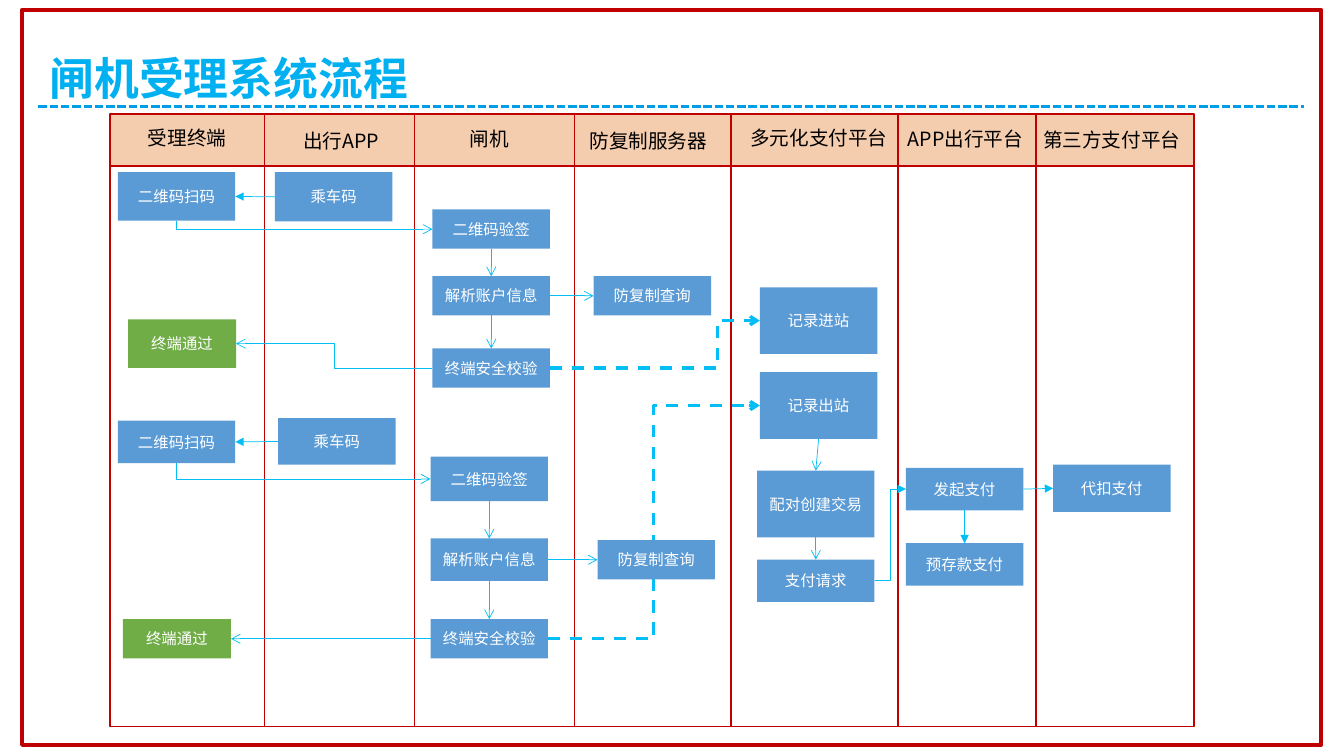
from lxml import etree
from pptx import Presentation
from pptx.dml.color import RGBColor
from pptx.enum.dml import MSO_LINE
from pptx.enum.shapes import MSO_CONNECTOR, MSO_SHAPE
from pptx.enum.text import MSO_ANCHOR, PP_ALIGN
from pptx.oxml.ns import qn
from pptx.util import Cm, Pt

RECTANGLE = MSO_SHAPE.RECTANGLE
STRAIGHT, ELBOW = MSO_CONNECTOR.STRAIGHT, MSO_CONNECTOR.ELBOW
DASH, SHORT_DASH = MSO_LINE.DASH, MSO_LINE.SQUARE_DOT
MIDDLE, BOTTOM = MSO_ANCHOR.MIDDLE, MSO_ANCHOR.BOTTOM
LEFT, CENTER = PP_ALIGN.LEFT, PP_ALIGN.CENTER
TOP_SITE, LEFT_SITE, BOTTOM_SITE, RIGHT_SITE = range(4)

CJK_FONT = "Noto Sans CJK SC"
RED, BLUE, GREEN, ARROW_BLUE = "C00000", "5B9BD5", "70AD47", "03BEF4"
HEADER_HEIGHT = 1.31
STEP_WIDTH = 2.96
PASS_WIDTH = 2.72

LANES = [
    ("受理终端", 0, 1.95, 0.6),
    ("出行APP", 3.9, 5.83, 0.67),
    ("闸机", 7.67, 9.56, 0.62),
    ("防复制服务器", 11.71, 13.57, 0.67),
    ("多元化支付平台", 15.65, 17.87, 0.6),
    ("APP出行平台", 19.86, 21.56, 0.62),
    ("第三方支付平台", 23.34, 25.25, 0.65),
]

STEPS = {
    "entry scan": ("二维码扫码", 0.2, 1.47, 1.22),
    "entry code": ("乘车码", 4.16, 1.47, 1.24),
    "entry verify": ("二维码验签", 8.13, 2.41, 0.99),
    "entry parse": ("解析账户信息", 8.13, 4.09, 0.99),
    "entry check": ("终端安全校验", 8.13, 5.91, 0.99),
    "entry pass": ("终端通过", 0.46, 5.18, 1.22),
    "entry record": ("记录进站", 16.38, 4.37, 1.68),
    "exit scan": ("二维码扫码", 0.2, 7.73, 1.07),
    "exit code": ("乘车码", 4.24, 7.67, 1.17),
    "exit verify": ("二维码验签", 8.08, 8.64, 1.12),
    "exit parse": ("解析账户信息", 8.08, 10.7, 1.07),
    "exit check": ("终端安全校验", 8.08, 12.73, 0.99),
    "exit pass": ("终端通过", 0.33, 12.73, 0.99),
    "exit record": ("记录出站", 16.38, 6.51, 1.68),
    "pair": ("配对创建交易", 16.31, 8.99, 1.68),
    "request": ("支付请求", 16.31, 11.23, 1.07),
    "start": ("发起支付", 20.06, 8.92, 1.07),
    "prepaid": ("预存款支付", 20.06, 10.82, 1.07),
    "withhold": ("代扣支付", 23.77, 8.84, 1.19),
}

QUERIES = {
    "entry query": ("防复制查询", 12.19, 4.09, 0.99),
    "exit query": ("防复制查询", 12.29, 10.74, 0.99),
}


def color(value):
    return RGBColor.from_string(value)


def apply_format(target, values):
    for name, value in values.items():
        setattr(target, name, value)


def add_text(shape, text, size, font_color, anchor=MIDDLE, alignment=CENTER,
             font_name=CJK_FONT, bold=False, spacing=1.0):
    frame = shape.text_frame
    apply_format(frame, {"word_wrap": True, "vertical_anchor": anchor})
    paragraph = frame.paragraphs[0]
    apply_format(paragraph, {"alignment": alignment, "line_spacing": spacing})
    run = paragraph.add_run()
    run.text = text
    apply_format(run.font, {"name": font_name, "size": Pt(size), "bold": bold})
    run.font.color.rgb = color(font_color)
    east_asian = etree.SubElement(run.font._element, qn("a:ea"))
    east_asian.set("typeface", CJK_FONT)


def add_label(slide, box, text, size, font_color, insets, **options):
    label = slide.shapes.add_textbox(*map(Cm, box))
    horizontal, vertical = map(Cm, insets)
    apply_format(label.text_frame, {
        "margin_left": horizontal, "margin_right": horizontal,
        "margin_top": vertical, "margin_bottom": vertical,
    })
    add_text(label, text, size, font_color, **options)


def add_rectangle(slide, box, fill=None, outline=None, width=1):
    shape = slide.shapes.add_shape(RECTANGLE, *map(Cm, box))
    shape.shadow.inherit = False
    if fill:
        shape.fill.solid()
        shape.fill.fore_color.rgb = color(fill)
    else:
        shape.fill.background()
    if outline:
        shape.line.color.rgb = color(outline)
        shape.line.width = Pt(width)
    else:
        shape.line.fill.background()
    return shape


def add_line(slide, kind, points, line_color, width, dash=None, head=None):
    connector = slide.shapes.add_connector(kind, *points)
    connector.line.color.rgb = color(line_color)
    apply_format(connector.line, {"width": Pt(width), "dash_style": dash})
    if head:
        tail = etree.SubElement(connector.line._get_or_add_ln(), qn("a:tailEnd"))
        tail.set("type", head)
    etree.SubElement(connector._element.spPr, qn("a:effectLst"))
    return connector


def site_point(shape, site):
    middle_x = shape.left + shape.width // 2
    middle_y = shape.top + shape.height // 2
    return {
        TOP_SITE: (middle_x, shape.top),
        LEFT_SITE: (shape.left, middle_y),
        BOTTOM_SITE: (middle_x, shape.top + shape.height),
        RIGHT_SITE: (shape.left + shape.width, middle_y),
    }[site]


def link(slide, source, source_site, target, target_site, kind=STRAIGHT,
         head="arrow", width=0.5, dash=None, bend=0.5):
    x1, y1 = site_point(source, source_site)
    x2, y2 = site_point(target, target_site)
    connector = add_line(slide, kind, (x1, y1, x2, y2), ARROW_BLUE, width, dash, head)
    connector.begin_connect(source, source_site)
    connector.end_connect(target, target_site)
    if kind != ELBOW:
        return
    properties = connector._element.spPr
    geometry = properties.find(qn("a:prstGeom"))
    if source_site == BOTTOM_SITE:
        across, down = x2 - x1, y2 - y1
        geometry.set("prst", "bentConnector2")
        apply_format(connector, {
            "left": (x1 + x2 - down) // 2, "top": (y1 + y2 - across) // 2,
            "width": down, "height": across,
        })
        transform = properties.find(qn("a:xfrm"))
        transform.set("rot", "16200000")
        transform.set("flipH", "1")
    else:
        guide = etree.SubElement(geometry.find(qn("a:avLst")), qn("a:gd"))
        guide.set("name", "adj1")
        guide.set("fmla", f"val {round(bend * 100000)}")


def draw_heading(slide, box):
    left, top, width, height = box
    add_label(slide, (left + 0.15, top, width - 0.25, height), "闸机受理系统流程", 32,
              "00B0F0", (0.13, 0.08), anchor=BOTTOM, alignment=LEFT,
              font_name="Calibri", bold=True, spacing=0.9)
    rule = top + height - 0.03
    add_line(slide, STRAIGHT, map(Cm, (left, rule, left + width, rule)),
             "009EE7", 2, SHORT_DASH)


def draw_lanes(slide, box):
    left, top, width, height = box
    add_rectangle(slide, (left, top, width, HEADER_HEIGHT), "F4CCAE")
    add_rectangle(slide, box, outline=RED)
    header_bottom = top + HEADER_HEIGHT
    dividers = [(left, header_bottom, left + width, header_bottom)]
    dividers += [(left + x, top, left + x, top + height) for _, x, _, _ in LANES[1:]]
    for divider in dividers:
        add_line(slide, STRAIGHT, map(Cm, divider), RED, 1)
    for name, _, center, middle in LANES:
        add_label(slide, (left + center - 2.2, top + middle - 0.45, 4.4, 0.9),
                  name, 14, "000000", (0.15, 0.15))


def draw_steps(slide, box, steps):
    left, top = box[:2]
    shapes = {}
    for key, (text, x, y, height) in steps.items():
        passed = key.endswith("pass")
        width, fill = (PASS_WIDTH, GREEN) if passed else (STEP_WIDTH, BLUE)
        shapes[key] = add_rectangle(slide, (left + x, top + y, width, height), fill)
        add_text(shapes[key], text, 11, "FFFFFF")
    return shapes


def draw_flow(slide, box):
    steps = draw_steps(slide, box, STEPS)

    def down(source, target, **options):
        link(slide, steps[source], BOTTOM_SITE, steps[target], TOP_SITE, **options)

    def right(source, target, **options):
        link(slide, steps[source], RIGHT_SITE, steps[target], LEFT_SITE, **options)

    def back(source, target, **options):
        link(slide, steps[source], LEFT_SITE, steps[target], RIGHT_SITE, **options)

    for trip, pass_kind, bend in (("entry", ELBOW, 0.8), ("exit", STRAIGHT, 0.5)):
        back(f"{trip} code", f"{trip} scan", head="triangle")
        link(slide, steps[f"{trip} scan"], BOTTOM_SITE,
             steps[f"{trip} verify"], LEFT_SITE, kind=ELBOW)
        down(f"{trip} verify", f"{trip} parse")
        down(f"{trip} parse", f"{trip} check")
        back(f"{trip} check", f"{trip} pass", kind=pass_kind)
        right(f"{trip} check", f"{trip} record", kind=ELBOW, width=2.25,
              dash=DASH, bend=bend)
    down("exit record", "pair")
    down("pair", "request")
    right("request", "start", kind=ELBOW, head="triangle")
    down("start", "prepaid", head="triangle")
    right("start", "withhold", head="triangle")
    steps.update(draw_steps(slide, box, QUERIES))
    for trip in ("entry", "exit"):
        right(f"{trip} parse", f"{trip} query")


def main():
    presentation = Presentation()
    apply_format(presentation, {"slide_width": Cm(33.87), "slide_height": Cm(19.05)})
    slide = presentation.slides.add_slide(presentation.slide_layouts[6])
    chart_box = (2.77, 2.87, 27.32, 15.44)
    draw_lanes(slide, chart_box)
    draw_heading(slide, (0.97, 0.48, 31.9, 2.24))
    draw_flow(slide, chart_box)
    add_rectangle(slide, (0.56, 0.25, 32.74, 18.52), outline=RED, width=3)
    presentation.save("out.pptx")


if __name__ == "__main__":
    main()
